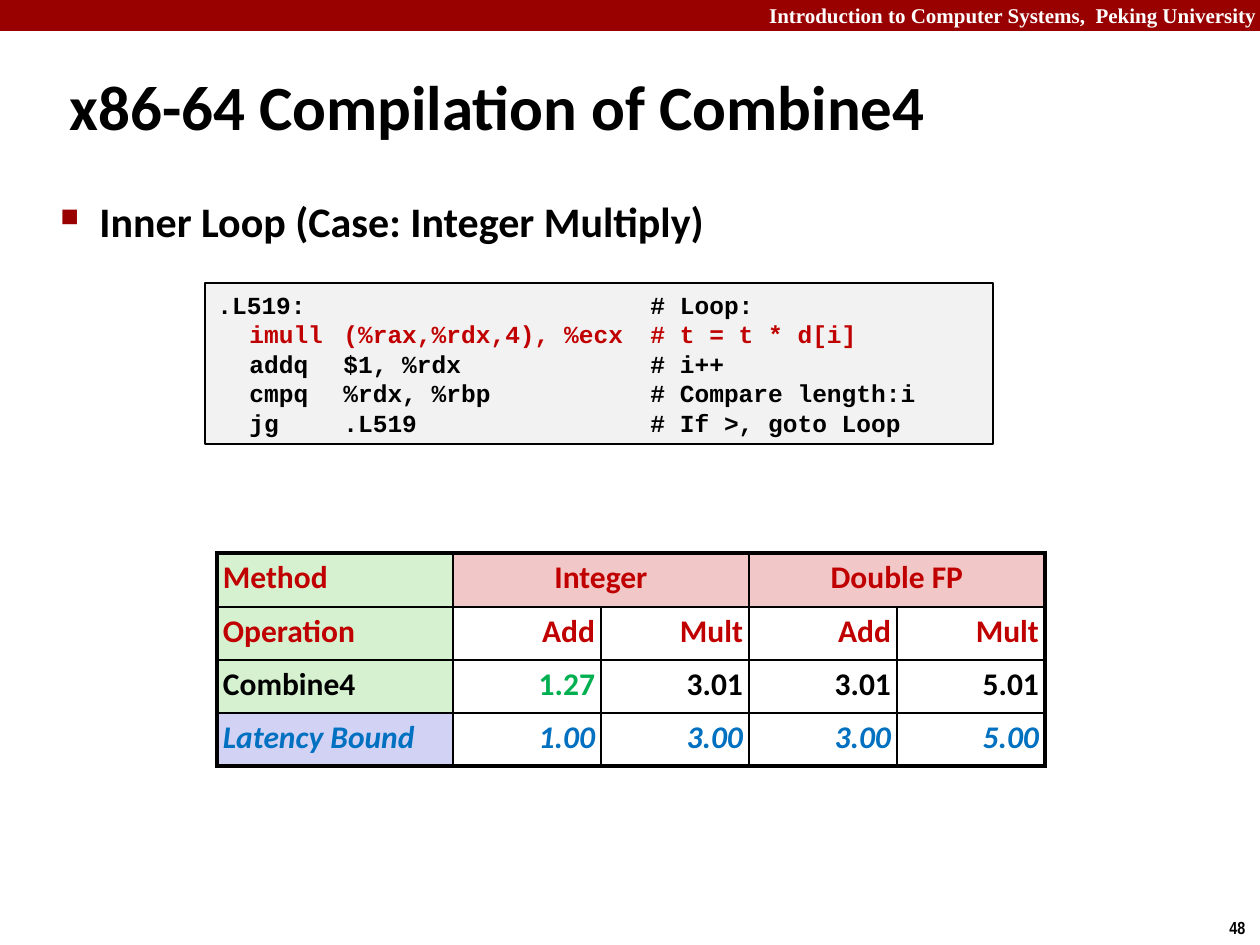
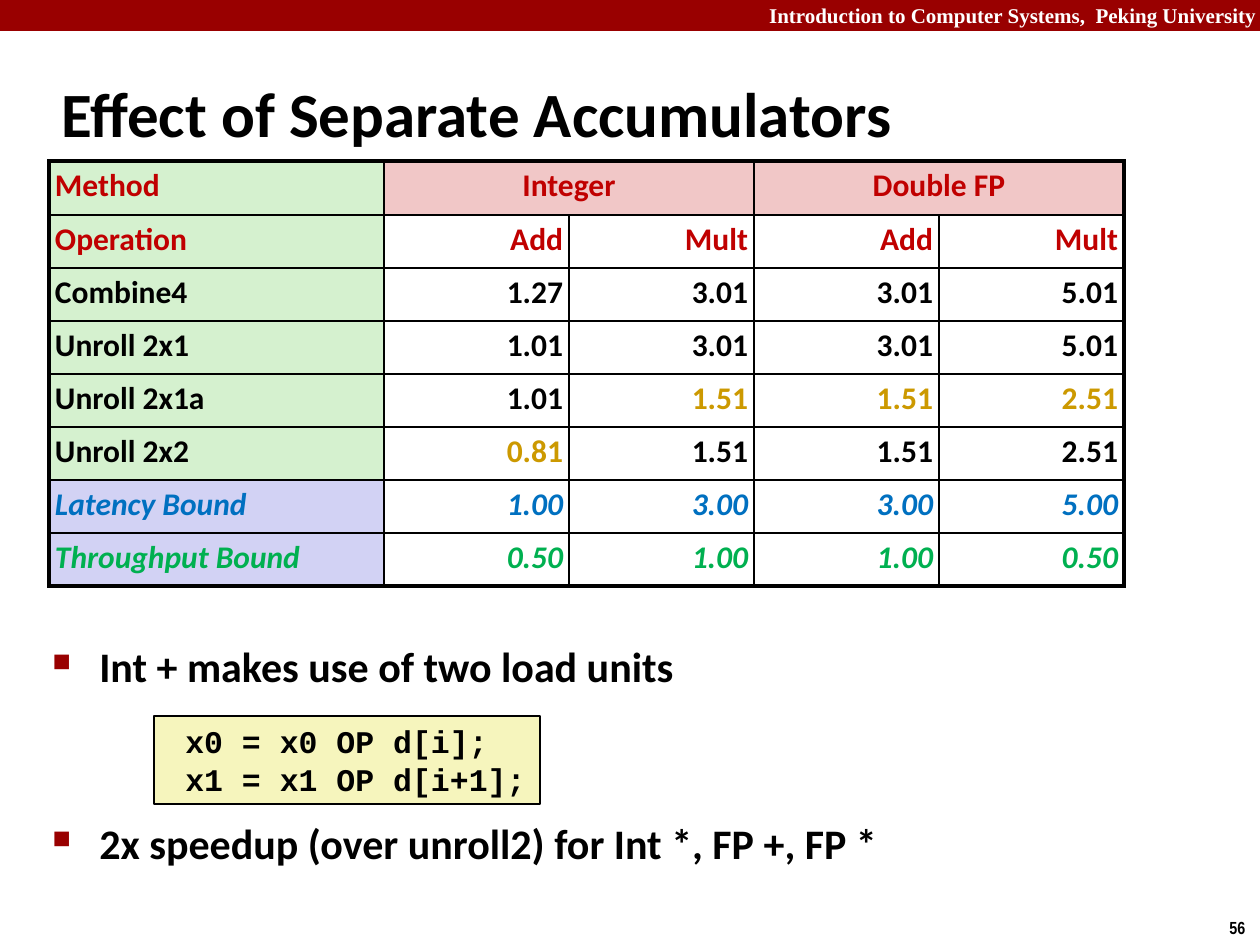
from lxml import etree
from pptx import Presentation
from pptx.dml.color import RGBColor
from pptx.enum.shapes import MSO_SHAPE
from pptx.enum.text import MSO_ANCHOR, PP_ALIGN
from pptx.oxml.ns import qn
from pptx.util import Pt

RECT = MSO_SHAPE.RECTANGLE
MIDDLE = MSO_ANCHOR.MIDDLE
LEFT, CENTER, RIGHT = PP_ALIGN.LEFT, PP_ALIGN.CENTER, PP_ALIGN.RIGHT
EMU_PER_PX = 914400 / 126

BLACK, WHITE = "000000", "FFFFFF"
BAND_RED, HEAD_RED = "990000", "C00000"
BLUE, GREEN, GOLD = "0070C0", "00B050", "CC9900"
LABEL_FILL, BOUND_FILL, GROUP_FILL = "D5F1CF", "D2D2F4", "F1C7C7"
CODE_GRAY, CODE_YELLOW = "F2F2F2", "F6F5BD"

HEADER_FONT = {"name": "Times New Roman", "size": Pt(12), "bold": True}
NUMBER_FONT = {"name": "Arial Narrow", "size": Pt(10), "bold": True}
TITLE_FONT = {"name": "Calibri", "size": Pt(36), "bold": True}
BODY_FONT = {"name": "Calibri", "size": Pt(24), "bold": True}
CELL_FONT = {"name": "Calibri", "size": Pt(18), "bold": True}

THIN, THICK = Pt(1), Pt(2.25)
BOUND_COLORS = {"Latency Bound": BLUE, "Throughput Bound": GREEN}
HEAD_ROWS = [
    ("Method", "Integer", "", "Double FP", ""),
    ("Operation", "Add", "Mult", "Add", "Mult"),
]
COMBINE4_ROW = ("Combine4", "1.27", "3.01", "3.01", "5.01")
LATENCY_ROW = ("Latency Bound", "1.00", "3.00", "3.00", "5.00")


def px(n):
    return round(n * EMU_PER_PX)


def rgb(value):
    return RGBColor.from_string(value)


def add_run(p, text, font, color=BLACK):
    r = p.add_run()
    r.text = text
    for name, value in font.items():
        setattr(r.font, name, value)
    r.font.color.rgb = rgb(color)


def add_paragraph(tf, first):
    return tf.paragraphs[0] if first else tf.add_paragraph()


def add_text(s, at, text, font, color=BLACK, align=LEFT, wrap=True, anchor=None):
    tf = s.shapes.add_textbox(*map(px, at)).text_frame
    tf.word_wrap = wrap
    tf.vertical_anchor = anchor
    p = tf.paragraphs[0]
    p.alignment = align
    add_run(p, text, font, color)


def add_rect(s, at, fill, line=None):
    sp = s.shapes.add_shape(RECT, *map(px, at))
    sp.shadow.inherit = False
    sp.fill.solid()
    sp.fill.fore_color.rgb = rgb(fill)
    if line:
        sp.line.color.rgb = rgb(line)
        sp.line.width = THIN
    else:
        sp.line.fill.background()
    return sp


def add_bullets(s, at, lines, indent, gap=0):
    """Square-bulleted lines, with gap points between them."""
    tf = s.shapes.add_textbox(*map(px, at)).text_frame
    tf.word_wrap = True
    for i, text in enumerate(lines):
        p = add_paragraph(tf, i == 0)
        pPr = p._p.get_or_add_pPr()
        pPr.set("marL", str(px(indent)))
        pPr.set("indent", str(-px(indent)))
        color = etree.SubElement(pPr, qn("a:buClr"))
        etree.SubElement(color, qn("a:srgbClr"), val=BAND_RED)
        etree.SubElement(pPr, qn("a:buSzPct"), val="60000")
        etree.SubElement(pPr, qn("a:buChar"), char="■")
        if i:
            p.space_before = Pt(gap)
        add_run(p, text, BODY_FONT)


def add_code(s, at, lines, size, fill, tabs=(), wrap=True):
    """Bordered code box; lines are (text, colour) pairs."""
    tf = add_rect(s, at, fill, BLACK).text_frame
    tf.word_wrap = wrap
    tf.vertical_anchor = MIDDLE
    font = {"name": "Courier New", "size": Pt(size), "bold": True}
    for i, (text, color) in enumerate(lines):
        p = add_paragraph(tf, i == 0)
        p.alignment = LEFT
        if tabs:
            tab_list = etree.SubElement(p._p.get_or_add_pPr(), qn("a:tabLst"))
            for tab in tabs:
                etree.SubElement(tab_list, qn("a:tab"), pos=str(px(tab)), algn="l")
        p.line_spacing = Pt(size * 1.2)
        body = text.lstrip("\t")
        if body != text:
            add_run(p, text[:-len(body)], font)
        add_run(p, body, font, color)


def set_borders(cell, widths):
    """Black borders; widths are for left, right, top and bottom."""
    tcPr = cell._tc.get_or_add_tcPr()
    for side, width in zip("LRTB", widths):
        ln = etree.SubElement(tcPr, qn(f"a:ln{side}"), w=str(width))
        fill = etree.SubElement(ln, qn("a:solidFill"))
        etree.SubElement(fill, qn("a:srgbClr"), val=BLACK)


def cell_fill(row, col, label):
    if col == 0:
        return BOUND_FILL if label in BOUND_COLORS else LABEL_FILL
    return GROUP_FILL if row == 0 else None


def add_timings(s, left, top, label_width, value_width, rows, highlights):
    """Cycle-count table; highlights maps (row, column) to a text colour."""
    rows = HEAD_ROWS + rows
    n_rows, n_cols = len(rows), len(rows[0])
    widths = [label_width] + [value_width] * (n_cols - 1)
    heights = [54] + [53] * (n_rows - 1)
    at = left, top, sum(widths), sum(heights)
    table = s.shapes.add_table(n_rows, n_cols, *map(px, at)).table
    table.first_row = table.horz_banding = False
    for column, width in zip(table.columns, widths):
        column.width = px(width)
    for row, height in zip(table.rows, heights):
        row.height = px(height)
    for c in (1, 3):
        table.cell(0, c).merge(table.cell(0, c + 1))

    for r, texts in enumerate(rows):
        label = texts[0]
        base_color = HEAD_RED if r < len(HEAD_ROWS) else BOUND_COLORS.get(label, BLACK)
        font = CELL_FONT | {"italic": label in BOUND_COLORS}
        for c, text in enumerate(texts):
            cell = table.cell(r, c)
            for side in ("left", "right", "top", "bottom"):
                setattr(cell, f"margin_{side}", px(6))
            last_col = c + cell.span_width if cell.is_merge_origin else c + 1
            outer = (c == 0, last_col == n_cols, r == 0, r == n_rows - 1)
            set_borders(cell, [THICK if edge else THIN for edge in outer])
            fill = cell_fill(r, c, label)
            if fill:
                cell.fill.solid()
                cell.fill.fore_color.rgb = rgb(fill)
            else:
                cell.fill.background()
            if text:
                p = cell.text_frame.paragraphs[0]
                p.alignment = LEFT if c == 0 else CENTER if r == 0 else RIGHT
                p.line_spacing = 0.95
                add_run(p, text, font, highlights.get((r, c), base_color))


def add_slide(prs, title, title_at, number):
    s = prs.slides.add_slide(prs.slide_layouts[6])
    add_rect(s, (0, 0, 1260, 31), BAND_RED)
    add_text(s, (756, -4, 513, 38), "Introduction to Computer Systems,  Peking University",
             HEADER_FONT, WHITE, RIGHT)
    add_text(s, (1217, 911, 43, 34), number, NUMBER_FONT, wrap=False)
    add_text(s, (*title_at, 1046, 105), title, TITLE_FONT, anchor=MIDDLE)
    return s


def build_compilation(prs):
    s = add_slide(prs, "x86-64 Compilation of Combine4", (57, 53), "48")
    add_bullets(s, (48, 189, 1138, 94), ["Inner Loop (Case: Integer Multiply)"], 39)
    add_code(s, (205, 283, 788, 161), [
        (".L519:\t\t# Loop:", BLACK),
        ("\timull\t(%rax,%rdx,4), %ecx\t# t = t * d[i]", HEAD_RED),
        ("\taddq\t$1, %rdx\t# i++", BLACK),
        ("\tcmpq\t%rdx, %rbp\t# Compare length:i", BLACK),
        ("\tjg\t.L519\t# If >, goto Loop", BLACK),
    ], 14, CODE_GRAY, tabs=(32, 126, 433))
    add_timings(s, 217, 553, 236, 148, [COMBINE4_ROW, LATENCY_ROW], {(2, 1): GREEN})


def build_accumulators(prs):
    s = add_slide(prs, "Effect of Separate Accumulators", (49, 60), "56")
    add_bullets(s, (40, 634, 1145, 258), [
        "Int + makes use of two load units",
        "2x speedup (over unroll2) for Int *, FP +, FP *",
    ], 47, gap=72.5)
    add_code(s, (154, 716, 386, 88), [
        (" x0 = x0 OP d[i];", BLACK),
        (" x1 = x1 OP d[i+1];", BLACK),
    ], 18, CODE_YELLOW, wrap=False)
    add_timings(s, 49, 161, 335, 185, [
        COMBINE4_ROW,
        ("Unroll 2x1", "1.01", "3.01", "3.01", "5.01"),
        ("Unroll 2x1a", "1.01", "1.51", "1.51", "2.51"),
        ("Unroll 2x2", "0.81", "1.51", "1.51", "2.51"),
        LATENCY_ROW,
        ("Throughput Bound", "0.50", "1.00", "1.00", "0.50"),
    ], {(4, 2): GOLD, (4, 3): GOLD, (4, 4): GOLD, (5, 1): GOLD})


def main():
    prs = Presentation()
    prs.slide_width, prs.slide_height = px(1260), px(945)
    build_compilation(prs)
    build_accumulators(prs)
    prs.save("out.pptx")


if __name__ == "__main__":
    main()
